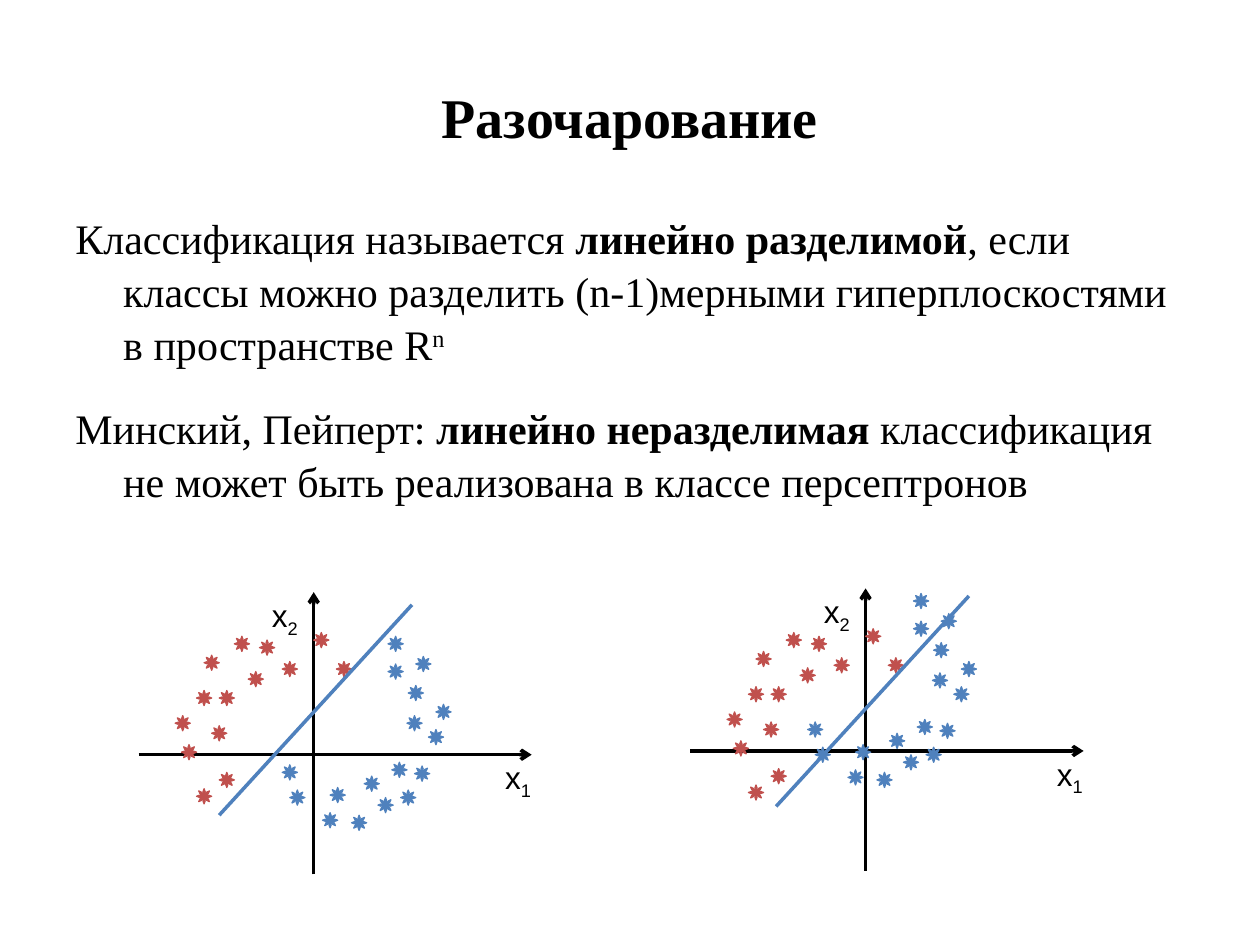
from lxml import etree
from pptx import Presentation
from pptx.dml.color import RGBColor
from pptx.enum.shapes import MSO_CONNECTOR, MSO_SHAPE
from pptx.enum.text import MSO_ANCHOR, MSO_AUTO_SIZE, PP_ALIGN
from pptx.oxml.ns import qn
from pptx.util import Inches, Pt

STRAIGHT = MSO_CONNECTOR.STRAIGHT
SUN = MSO_SHAPE.SUN
MIDDLE = MSO_ANCHOR.MIDDLE
CENTER = PP_ALIGN.CENTER
GROW = MSO_AUTO_SIZE.SHAPE_TO_FIT_TEXT


class Theme:
    ink = RGBColor(0, 0, 0)
    red = RGBColor(0xC0, 0x50, 0x4D)
    blue = RGBColor(0x4F, 0x81, 0xBD)
    serif, sans = "Times New Roman", "Arial"
    title, body, label = Pt(32), Pt(24), Pt(18)
    stroke, edge = Pt(2), Pt(0.75)


# Positions within a plot, in inches
STAR = 0.12
REDS = [(0.52, 0.52), (0.58, 1.08), (0.96, 0.4), (0.46, 0.8), (0.64, 1.45),
        (1.57, 0.57), (0.29, 1), (1.14, 0.57), (1.39, 0.34), (0.34, 1.23),
        (0.87, 0.65), (0.76, 0.37), (0.46, 1.58), (0.64, 0.8)]
BLUES = [(1.98, 0.59), (2.13, 1), (2.3, 1.11), (2.19, 1.4), (1.2, 1.59),
         (2.2, 0.53), (1.69, 1.79), (1.52, 1.57), (2.01, 1.37), (1.9, 1.65),
         (1.14, 1.39), (1.46, 1.77), (2.14, 0.76), (1.98, 0.37),
         (1.79, 1.48), (2.36, 0.91), (2.08, 1.59)]
BODY = [
    [("Классификация называется ", ""), ("линейно разделимой", "bold"),
     (", если классы можно разделить (n-1)мерными гиперплоскостями "
      "в пространстве R", ""), ("n", "super")],
    [("Минский, Пейперт: ", ""), ("линейно неразделимая ", "bold"),
     ("классификация не может быть реализована в классе персептронов", "")],
]
SHIFTS = {"super": "30000", "sub": "-25000"}


def add_box(shapes, left, top, width, height):
    box = shapes.add_textbox(Inches(left), Inches(top),
                             Inches(width), Inches(height))
    box.text_frame.word_wrap = True
    return box.text_frame


def add_runs(para, parts, font, size):
    """Add (text, style) parts; style is bold, super, sub or empty."""
    for text, style in parts:
        run = para.add_run()
        run.text = text
        run.font.name, run.font.size = font, size
        run.font.color.rgb = Theme.ink
        run.font.bold = style == "bold"
        if style in SHIFTS:
            run.font._element.set("baseline", SHIFTS[style])


def add_line(shapes, start, end, color, arrow=False):
    line = shapes.add_connector(STRAIGHT, *map(Inches, start + end))
    line.line.color.rgb = color
    line.line.width = Theme.stroke
    if arrow:
        etree.SubElement(line.line._get_or_add_ln(), qn("a:tailEnd"),
                         type="arrow")
    etree.SubElement(line._element.spPr, qn("a:effectLst"))


def add_star(shapes, left, top, color):
    star = shapes.add_shape(SUN, Inches(left), Inches(top),
                            Inches(STAR), Inches(STAR))
    star.shadow.inherit = False
    star.fill.solid()
    star.fill.fore_color.rgb = color
    star.line.color.rgb = color
    star.line.width = Theme.edge


def add_label(shapes, left, top, index):
    frame = add_box(shapes, left, top, 0.61, 0.44)
    frame.auto_size = GROW
    add_runs(frame.paragraphs[0], [("x", ""), (index, "sub")],
             Theme.sans, Theme.label)


def add_title(slide, left, top, width, height):
    frame = add_box(slide.shapes, left, top, width, height)
    frame.vertical_anchor = MIDDLE
    para = frame.paragraphs[0]
    para.alignment = CENTER
    add_runs(para, [("Разочарование", "bold")], Theme.serif, Theme.title)


def add_body(slide, left, top, width, height):
    frame = add_box(slide.shapes, left, top, width, height)
    for i, parts in enumerate(BODY):
        para = frame.add_paragraph() if i else frame.paragraphs[0]
        para.line_spacing = 1.05
        if i:
            para.space_before = Pt(18)
        props = para._p.get_or_add_pPr()
        props.set("marL", str(Inches(0.38)))
        props.set("indent", str(Inches(-0.38)))
        add_runs(para, parts, Theme.serif, Theme.body)


def add_plot(slide, left, top, blue_move=(0, 0), line_move=(0, 0)):
    """Draw both classes; the moves shift the blue class and the divider."""
    shapes = slide.shapes.add_group_shape().shapes

    def at(x, y, move=(0, 0)):
        return left + x + move[0], top + y + move[1]

    add_line(shapes, at(1.39, 2.26), at(1.39, 0.02), Theme.ink, True)
    add_line(shapes, at(0, 1.31), at(3.12, 1.31), Theme.ink, True)
    add_label(shapes, *at(2.81, 1.29), "1")
    add_label(shapes, *at(0.96, 0), "2")
    for spots, color, move in ((REDS, Theme.red, (0, 0)),
                               (BLUES, Theme.blue, blue_move)):
        for spot in spots:
            add_star(shapes, *at(*spot, move), color)
    add_line(shapes, at(2.17, 0.12, line_move), at(0.64, 1.79, line_move),
             Theme.blue)


def main():
    deck = Presentation()
    deck.slide_width, deck.slide_height = Inches(10), Inches(7.5)
    slide = deck.slides.add_slide(deck.slide_layouts[6])
    add_title(slide, 0.5, 0.3, 9, 1.25)
    add_body(slide, 0.5, 1.62, 9, 3.04)
    add_plot(slide, 1.1, 4.68)
    add_plot(slide, 5.48, 4.65, (-0.21, -0.31), (0.04, -0.04))
    deck.save("out.pptx")


if __name__ == "__main__":
    main()
